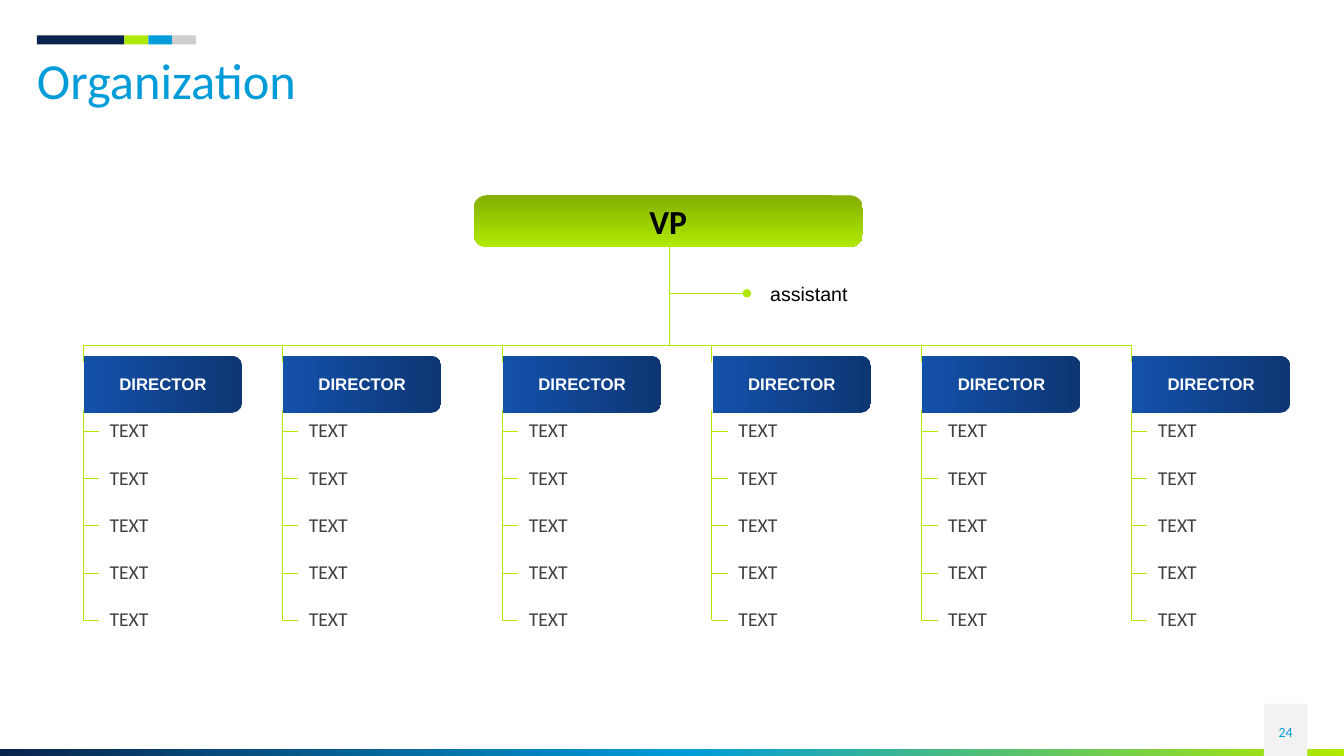
from dataclasses import dataclass

from lxml import etree
from pptx import Presentation
from pptx.dml.color import RGBColor
from pptx.enum.shapes import MSO_CONNECTOR, MSO_SHAPE
from pptx.enum.text import MSO_ANCHOR, MSO_AUTO_SIZE, PP_ALIGN
from pptx.oxml.ns import qn
from pptx.shapes.autoshape import Shape
from pptx.shapes.connector import Connector
from pptx.slide import Slide
from pptx.text.text import TextFrame
from pptx.util import Pt

RECT = MSO_SHAPE.RECTANGLE
ROUND = MSO_SHAPE.ROUNDED_RECTANGLE
TAB = MSO_SHAPE.ROUND_2_SAME_RECTANGLE
STRAIGHT = MSO_CONNECTOR.STRAIGHT
TOP, MIDDLE = MSO_ANCHOR.TOP, MSO_ANCHOR.MIDDLE
LEFT, CENTER = PP_ALIGN.LEFT, PP_ALIGN.CENTER
FIXED, GROW = MSO_AUTO_SIZE.NONE, MSO_AUTO_SIZE.SHAPE_TO_FIT_TEXT


@dataclass(frozen=True)
class Font:
    size: float
    face: str
    color: str
    bold: bool = False


@dataclass(frozen=True)
class Theme:
    navy: str = "09244C"
    lime: str = "B0E900"
    moss: str = "84AF00"
    sky: str = "009CDA"
    gray: str = "D0CECE"
    pale: str = "F2F2F2"
    deep: str = "0D3672"
    blue: str = "1451AB"
    title: Font = Font(36, "Calibri", "009CDA")
    page: Font = Font(10, "Calibri", "009CDA")
    head: Font = Font(24, "Calibri", "000000", True)
    aide: Font = Font(14, "Arial", "000000")
    chief: Font = Font(12, "Arial", "FFFFFF", True)
    item: Font = Font(14, "Calibri", "404040")


@dataclass(frozen=True)
class Box:
    left: float
    top: float
    width: float
    height: float


@dataclass(frozen=True)
class Branch:
    trunk: float
    label: str
    items: tuple[str, ...]


THEME = Theme()
BAR = 246.4  # height of the line that joins all branches
STEM = 478.1  # centre of the line below the head
STEP = 33.65  # gap between items
TICK = 308.3  # height of the first item tick
TRUNKS = [59.2, 201.5] + [358.6 + 149.8 * i for i in range(4)]
TEAM = [Branch(x, "DIRECTOR", ("TEXT",) * 5) for x in TRUNKS]


def write(frame: TextFrame, text: str, font: Font, align: PP_ALIGN = LEFT,
          anchor: MSO_ANCHOR = MIDDLE,
          inset: tuple[float, ...] = (0, 0, 0, 0)) -> None:
    frame.word_wrap = True
    frame.auto_size = FIXED
    frame.vertical_anchor = anchor
    (frame.margin_left, frame.margin_top,
     frame.margin_right, frame.margin_bottom) = map(Pt, inset)
    para = frame.paragraphs[0]
    para.alignment = align
    run = para.add_run()
    run.text = text
    run.font.size = Pt(font.size)
    run.font.name = font.face
    run.font.bold = font.bold
    run.font.color.rgb = RGBColor.from_string(font.color)


def add_text(slide: Slide, box: Box, text: str, font: Font,
             align: PP_ALIGN = LEFT, anchor: MSO_ANCHOR = MIDDLE,
             inset: tuple[float, ...] = (0, 0, 0, 0)) -> TextFrame:
    frame = slide.shapes.add_textbox(
        Pt(box.left), Pt(box.top), Pt(box.width), Pt(box.height)).text_frame
    write(frame, text, font, align, anchor, inset)
    return frame


def add_block(slide: Slide, kind: MSO_SHAPE, box: Box, color: str) -> Shape:
    shape = slide.shapes.add_shape(
        kind, Pt(box.left), Pt(box.top), Pt(box.width), Pt(box.height))
    shape.shadow.inherit = False
    shape.line.fill.background()
    shape.fill.solid()
    shape.fill.fore_color.rgb = RGBColor.from_string(color)
    return shape


def blend(shape: Shape, stops: dict[int, str], angle: int) -> None:
    """Swap the solid fill for a gradient; stops are in percent."""
    solid = shape.element.spPr.find(qn("a:solidFill"))
    grad = etree.Element(qn("a:gradFill"), rotWithShape="1")
    chain = etree.SubElement(grad, qn("a:gsLst"))
    for pos, color in stops.items():
        stop = etree.SubElement(chain, qn("a:gs"), pos=str(pos * 1000))
        etree.SubElement(stop, qn("a:srgbClr"), val=color)
    etree.SubElement(grad, qn("a:lin"), ang=str(angle * 60000), scaled="0")
    solid.getparent().replace(solid, grad)


def add_line(slide: Slide, x1: float, y1: float,
             x2: float, y2: float) -> Connector:
    line = slide.shapes.add_connector(STRAIGHT, Pt(x1), Pt(y1), Pt(x2), Pt(y2))
    line.line.width = Pt(0.5)
    line.line.color.rgb = RGBColor.from_string(THEME.lime)
    etree.SubElement(line.element.spPr, qn("a:effectLst"))
    return line


def add_frame(slide: Slide) -> None:
    # Bottom band and page number
    band = add_block(slide, RECT, Box(0, 535, 960, 5), THEME.navy)
    blend(band, {0: THEME.navy, 51: THEME.sky, 100: THEME.lime}, 0)
    add_block(slide, RECT, Box(902.9, 502.6, 31, 37.4), THEME.pale)
    add_text(slide, Box(902.9, 508.3, 31, 28.8), "24", THEME.page, CENTER)

    # Colour strip above the title
    left = 26.4
    for width, color in ((62.4, THEME.navy), (17.1, THEME.lime),
                         (17.1, THEME.sky), (17.1, THEME.gray)):
        add_block(slide, RECT, Box(left, 25.2, width, 6.6), color)
        left += width

    # Title
    title = slide.shapes.title
    title.left, title.top = Pt(26.4), Pt(40.3)
    title.width, title.height = Pt(907.2), Pt(39.6)
    write(title.text_frame, "Organization", THEME.title, anchor=TOP)
    title.text_frame.paragraphs[0].line_spacing = 0.9


def add_head(slide: Slide) -> None:
    aide = add_line(slide, STEM, 209.5, 533.5, 209.5)
    etree.SubElement(aide.element.spPr.find(qn("a:ln")),
                     qn("a:tailEnd"), type="oval")
    add_line(slide, STEM, 176.4, STEM, BAR)
    add_line(slide, TRUNKS[0], BAR, TRUNKS[-1], BAR)
    head = add_block(slide, ROUND, Box(338.4, 139.5, 277.9, 36.9), THEME.lime)
    head.adjustments[0] = 0.25
    blend(head, {0: THEME.moss, 100: THEME.lime}, 90)
    write(head.text_frame, "VP", THEME.head, CENTER)
    add_text(slide, Box(538.6, 195.8, 83.5, 28.1), "assistant", THEME.aide,
             inset=(11.5, 0, 0, 0))


def add_branch(slide: Slide, branch: Branch) -> None:
    x = branch.trunk
    last = TICK + STEP * (len(branch.items) - 1)
    add_line(slide, x, BAR, x, 258.5)
    add_line(slide, x, 293, x, last)

    # Items with their ticks
    for i, text in enumerate(branch.items):
        y = TICK + STEP * i
        add_line(slide, x, y, x + 11.5, y)
        frame = add_text(slide, Box(x + 12, y - 13, 66.2, 24.5), text,
                         THEME.item, anchor=TOP, inset=(7.2, 3.6, 7.2, 3.6))
        frame.auto_size = GROW
        frame.paragraphs[0].space_after = Pt(6)

    # Plate, turned so that its round corners face right
    mid = x + 57.2
    plate = add_block(slide, TAB, Box(mid - 20.2, 218, 40.4, 113), THEME.blue)
    plate.rotation = 90
    blend(plate, {0: THEME.deep, 100: THEME.blue}, 90)
    add_text(slide, Box(mid - 42.5, 261.4, 85, 25.2), branch.label,
             THEME.chief, CENTER)


def main() -> None:
    deck = Presentation()
    deck.slide_width, deck.slide_height = Pt(960), Pt(540)
    slide = deck.slides.add_slide(deck.slide_layouts[5])
    add_frame(slide)
    add_head(slide)
    for branch in TEAM:
        add_branch(slide, branch)
    deck.save("out.pptx")


if __name__ == "__main__":
    main()
